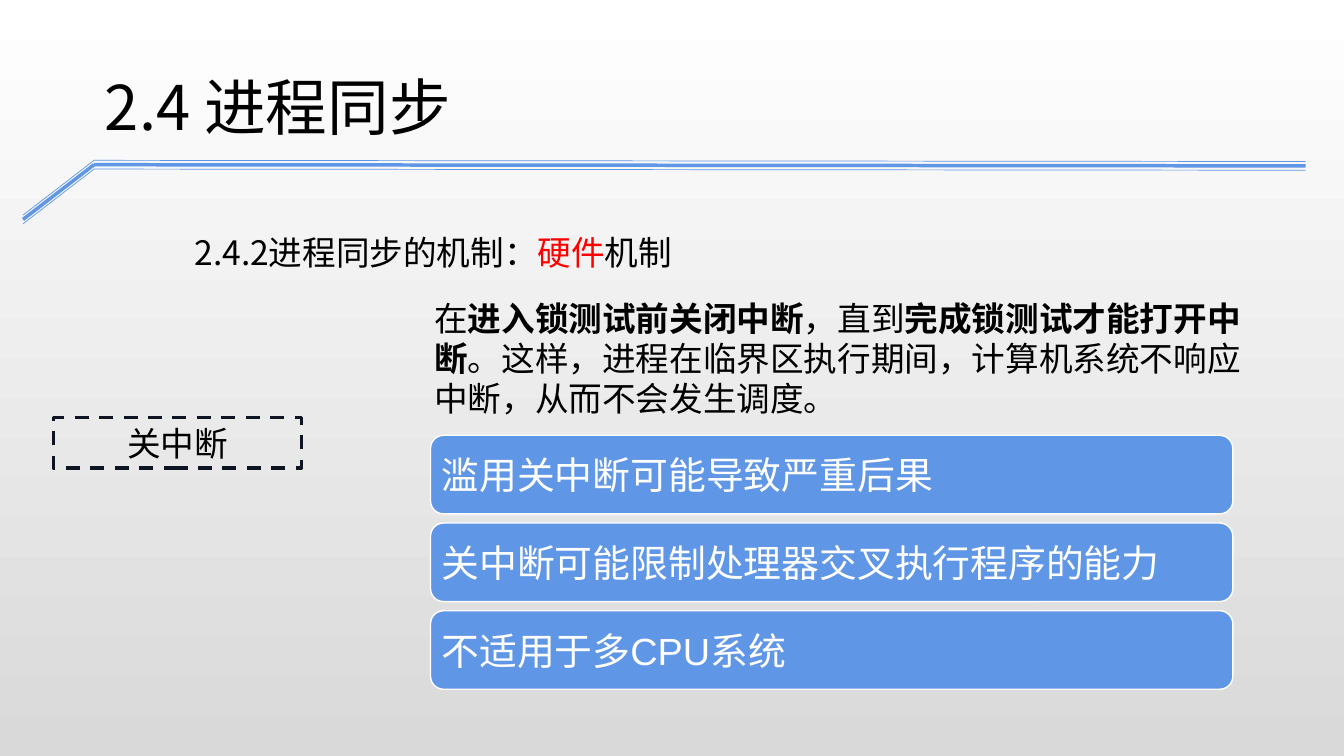
import pptx
import pptx.util
import pptx.dml.color
import pptx.enum.dml
import pptx.enum.shapes
import pptx.enum.text
import pptx.oxml.ns
import lxml.etree
from dataclasses import dataclass

Cm = pptx.util.Cm
Pt = pptx.util.Pt
Align = pptx.enum.text.PP_ALIGN
Anchor = pptx.enum.text.MSO_ANCHOR
Kind = pptx.enum.shapes.MSO_SHAPE


@dataclass(frozen=True)
class Theme:
    ink: str = "000000"
    white: str = "FFFFFF"
    grey: str = "D9D9D9"
    blue: str = "6096E6"
    red: str = "FF0000"
    navy: str = "0F1423"
    title: int = 44
    body: int = 24
    card: int = 27
    sans: str = "Arial"
    han: str = "Noto Sans CJK JP"


THEME = Theme()
PLAIN = {"color": THEME.ink, "size": THEME.body, "name": THEME.han}
HEAD = {**PLAIN, "size": THEME.title}
ALERT = {**PLAIN, "color": THEME.red}
PROSE = {**PLAIN, "name": THEME.sans, "bold": False}
STRONG = {**PROSE, "bold": True}
LABEL = {"color": THEME.white, "size": THEME.card, "name": THEME.sans}


def rgb(code):
    return pptx.dml.color.RGBColor.from_string(code)


def apply(item, values):
    for key, value in values.items():
        setattr(item, key, value)


def add_tag(node, tag, **values):
    return lxml.etree.SubElement(node, pptx.oxml.ns.qn(tag), **values)


def place(shape, left, top, width, height):
    apply(shape, {"left": Cm(left), "top": Cm(top),
                  "width": Cm(width), "height": Cm(height)})


def write(shape, runs, para, frame):
    text = shape.text_frame
    apply(text, {"word_wrap": True,
                 "auto_size": pptx.enum.text.MSO_AUTO_SIZE.NONE, **frame})
    line = text.paragraphs[0]
    apply(line, {"space_before": Pt(0), **para})
    for words, style in runs:
        run = line.add_run()
        run.text = words
        values = dict(style)
        run.font.color.rgb = rgb(values.pop("color"))
        values["size"] = Pt(values["size"])
        apply(run.font, values)
        add_tag(run.font._element, "a:ea", typeface=THEME.han)
    return line


def set_back(slide):
    fill = slide.background.fill
    fill.gradient()
    fill.gradient_angle = 270
    for stop, code in zip(fill.gradient_stops, (THEME.white, THEME.grey)):
        stop.color.rgb = rgb(code)


def add_rail(slide, points, width):
    for start, end in zip(points, points[1:]):
        line = slide.shapes.add_connector(
            pptx.enum.shapes.MSO_CONNECTOR.STRAIGHT,
            *map(Cm, start), *map(Cm, end))
        line.line.color.rgb = rgb(THEME.blue)
        line.line.width = Pt(width)
        add_tag(line._element.spPr, "a:effectLst")


def add_box(slide, kind, area, fill, edge, width):
    box = slide.shapes.add_shape(kind, *map(Cm, area))
    box.shadow.inherit = False
    if fill:
        box.fill.solid()
        box.fill.fore_color.rgb = rgb(fill)
    else:
        box.fill.background()
    box.line.color.rgb = rgb(edge)
    box.line.width = Pt(width)
    return box


def add_card(slide, top, words):
    card = add_box(slide, Kind.ROUNDED_RECTANGLE, (10.85, top, 20.22, 1.98),
                   THEME.blue, THEME.white, 1)
    write(card, [(words, LABEL)], {"alignment": Align.LEFT},
          {"vertical_anchor": Anchor.MIDDLE, "margin_left": Cm(0.18)})


def main():
    deck = pptx.Presentation()
    apply(deck, {"slide_width": Cm(33.87), "slide_height": Cm(19.05)})
    slide = deck.slides.add_slide(deck.slide_layouts[1])
    set_back(slide)

    for step, width in enumerate((0.5, 2.5, 0.5)):
        drop = 0.11 * step
        add_rail(slide, [(0.58, 5.42 + drop), (2.37, 4.04 + drop),
                         (32.9, 4.07 + drop)], width)

    left = {"alignment": Align.LEFT}
    top = {"vertical_anchor": Anchor.TOP}
    title = slide.shapes.title
    place(title, 2.39, 1.6, 24.18, 2.13)
    write(title, [("2.4 进程同步", HEAD)], left, top)

    topic = slide.shapes.add_textbox(Cm(4.65), Cm(5.21), Cm(29.08), Cm(1.8))
    write(topic, [("2.4.2进程同步的机制：", PLAIN), ("硬件", ALERT),
                  ("机制", PLAIN)], {"line_spacing": 1.5}, top)

    body = slide.placeholders[1]
    place(body, 10.69, 7.37, 21.21, 3.33)
    line = write(body, [
        ("在", PROSE), ("进入锁测试前关闭中断", STRONG), ("，直到", PROSE),
        ("完成锁测试才能打开中断", STRONG),
        ("。这样，进程在临界区执行期间，计算机系统不响应中断，从而不会发生调度。",
         PROSE)], left, top)
    props = line._p.get_or_add_pPr()
    props.set("marL", "0")
    props.set("indent", "0")
    add_tag(props, "a:buNone")

    tag = add_box(slide, Kind.RECTANGLE, (1.35, 10.52, 6.25, 1.27),
                  None, THEME.navy, 2.5)
    tag.line.dash_style = pptx.enum.dml.MSO_LINE.DASH
    write(tag, [("关中断", PLAIN)], {"alignment": Align.CENTER}, top)

    cards = ("滥用关中断可能导致严重后果",
             "关中断可能限制处理器交叉执行程序的能力",
             "不适用于多CPU系统")
    for row, words in enumerate(cards):
        add_card(slide, 10.97 + 2.21 * row, words)

    deck.save("out.pptx")


if __name__ == "__main__":
    main()
